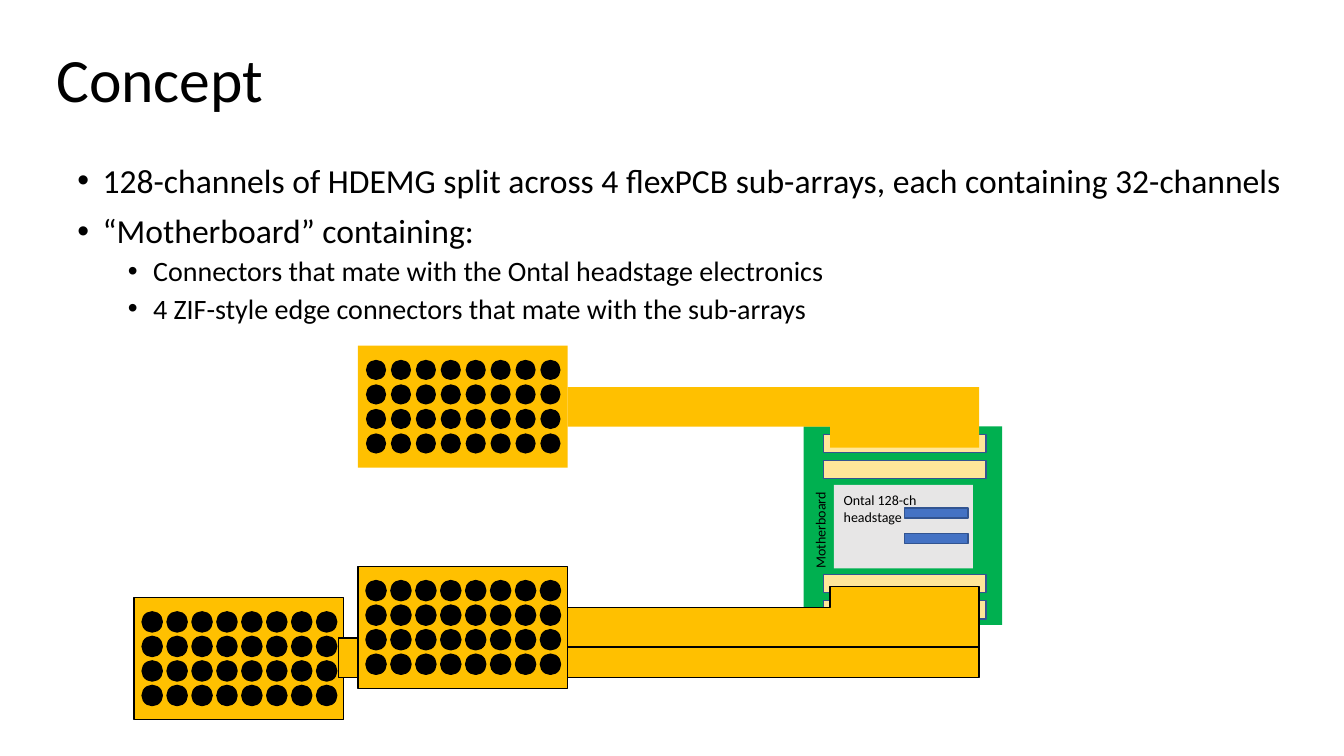
from pptx import Presentation
from pptx import util as u
from pptx.dml.color import RGBColor
from pptx.enum import shapes, text
from lxml import etree

COLORS = {
    "black": "000000",
    "board": "00B050",
    "headstage": "E7E6E6",
    "plug": "4472C4",
    "edge": "325491",
    "zif": "FFE699",
    "flex": "FFC000",
}
RECT = shapes.MSO_SHAPE.RECTANGLE
OVAL = shapes.MSO_SHAPE.OVAL
CORNER = shapes.MSO_SHAPE.CORNER


class Slide:
    font = "Calibri"

    def __init__(self, prs):
        self.s = prs.slides.add_slide(prs.slide_layouts[6])

    def shape(self, kind, x, y, w, h, fill, line=None):
        sp = self.s.shapes.add_shape(
            kind, u.Inches(x), u.Inches(y), u.Inches(w), u.Inches(h))
        sp.shadow.inherit = False
        sp.fill.solid()
        sp.fill.fore_color.rgb = RGBColor.from_string(COLORS[fill])
        if line:
            sp.line.color.rgb = RGBColor.from_string(COLORS[line])
            sp.line.width = u.Pt(1)
        else:
            sp.line.fill.background()
        return sp

    def textbox(self, x, y, w, h, anchor=text.MSO_ANCHOR.TOP):
        sp = self.s.shapes.add_textbox(
            u.Inches(x), u.Inches(y), u.Inches(w), u.Inches(h))
        sp.text_frame.word_wrap = True
        sp.text_frame.vertical_anchor = anchor
        return sp

    def run(self, p, words, size):
        r = p.add_run()
        r.text = words
        r.font.name = self.font
        r.font.size = u.Pt(size)
        r.font.color.rgb = RGBColor.from_string(COLORS["black"])

    def label(self, x, y, w, h, words, size, anchor=text.MSO_ANCHOR.TOP, spacing=1.0):
        sp = self.textbox(x, y, w, h, anchor)
        p = sp.text_frame.paragraphs[0]
        p.line_spacing = spacing
        self.run(p, words, size)
        return sp

    def bullets(self, x, y, w, h, items):
        tf = self.textbox(x, y, w, h).text_frame
        for i, (level, words) in enumerate(items):
            p = tf.add_paragraph() if i else tf.paragraphs[0]
            p.level = level
            p.line_spacing = 0.9
            p.space_before = u.Pt(5 if level else 10)
            pPr = p._p.get_or_add_pPr()
            pPr.set("marL", str(u.Inches(0.25 + 0.5 * level)))
            pPr.set("indent", str(u.Inches(-0.25)))
            ns = "{%s}" % pPr.nsmap["a"]
            etree.SubElement(pPr, ns + "buFont", typeface="Arial")
            etree.SubElement(pPr, ns + "buChar", char="•")
            self.run(p, words, 20 if level else 24)

    def sub_array(self, x, y, tail_x, tail_y, line=None, flip=False):
        self.shape(RECT, x, y, 2.08, 1.21, "flex", line)
        for col in range(8):
            for row in range(4):
                self.shape(OVAL, x + 0.08 + 1.73 / 7 * col, y + 0.14 + 0.73 / 3 * row,
                           0.2, 0.2, "black", line)
        tail = self.shape(CORNER, tail_x, tail_y, 9.71 - tail_x, 0.6, "flex", line)
        tail.adjustments[0] = 0.653
        tail.adjustments[1] = 2.462
        tail.rotation = 180
        if flip:
            tail._element.spPr.xfrm.set("flipV", "1")


def main():
    prs = Presentation()
    prs.slide_width, prs.slide_height = u.Inches(13.33), u.Inches(7.5)
    s = Slide(prs)

    s.label(0.46, 0.09, 11.5, 1.45, "Concept", 44, text.MSO_ANCHOR.MIDDLE, 0.9)
    s.bullets(0.67, 1.58, 12.24, 4.76, [
        (0, "128-channels of HDEMG split across 4 flexPCB sub-arrays, each containing 32-channels"),
        (0, "“Motherboard” containing:"),
        (1, "Connectors that mate with the Ontal headstage electronics"),
        (1, "4 ZIF-style edge connectors that mate with the sub-arrays"),
    ])

    s.shape(RECT, 7.97, 4.23, 1.97, 1.97, "board")
    s.label(7.61, 5.08, 1.05, 0.27, "Motherboard", 10).rotation = 270
    s.shape(RECT, 8.27, 4.81, 1.38, 0.83, "headstage")
    for y in (5.04, 5.29):
        s.shape(RECT, 8.97, y, 0.63, 0.1, "plug", "edge")
    s.label(8.27, 4.83, 0.96, 0.44, "Ontal 128-ch headstage", 10)
    for y in (4.31, 4.57, 5.7, 5.96):
        s.shape(RECT, 8.17, y, 1.61, 0.18, "zif", "edge")

    s.sub_array(3.55, 3.43, 5.63, 3.84)
    s.sub_array(1.33, 5.93, 3.36, 6.12, "black", True)
    s.sub_array(3.55, 5.62, 5.63, 5.82, "black", True)

    prs.save("out.pptx")


if __name__ == "__main__":
    main()
